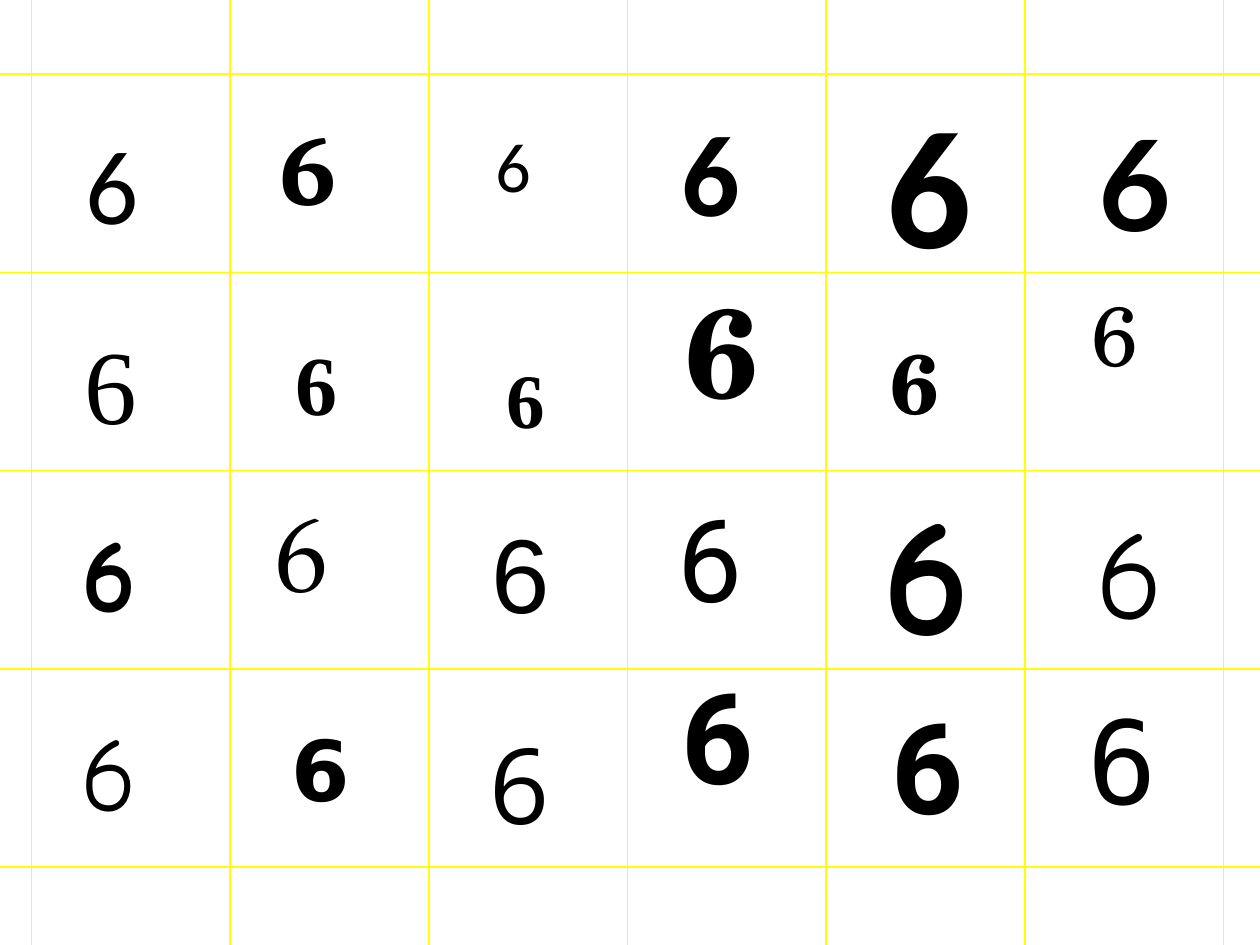
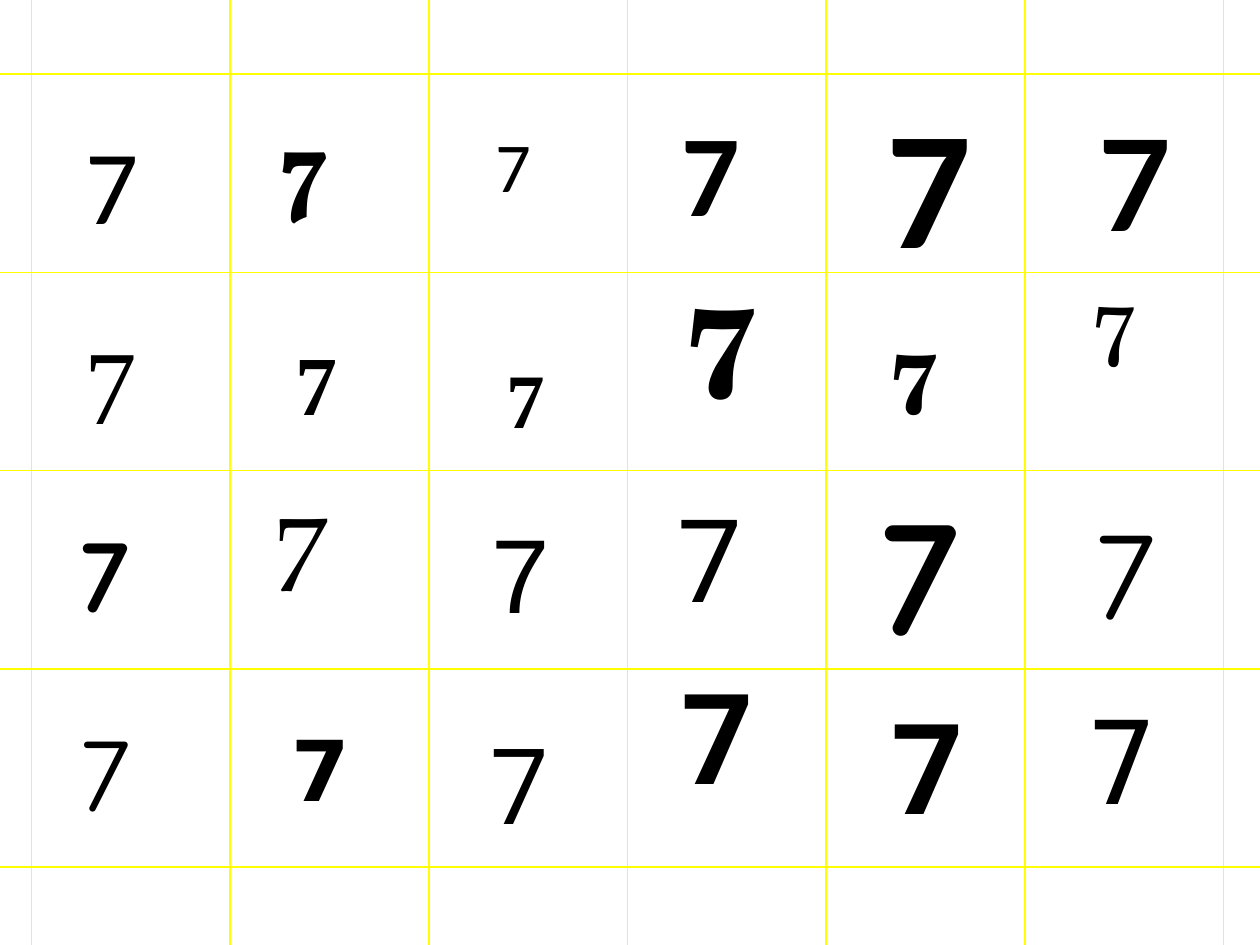
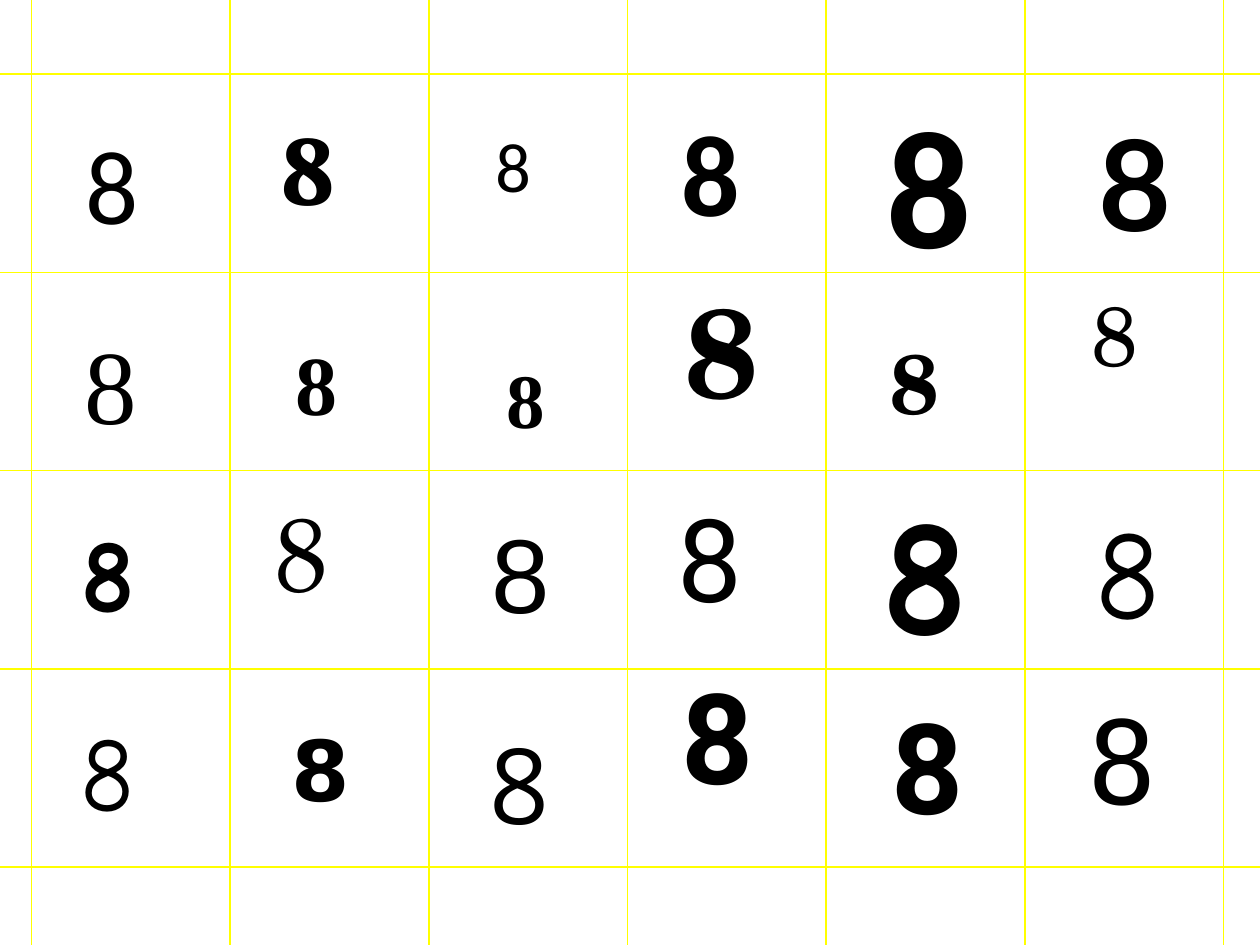
from dataclasses import dataclass

from lxml import etree
from pptx import Presentation
from pptx.dml.color import RGBColor
from pptx.enum.shapes import MSO_CONNECTOR
from pptx.enum.text import MSO_AUTO_SIZE
from pptx.oxml.ns import qn
from pptx.util import Inches, Pt

STRAIGHT = MSO_CONNECTOR.STRAIGHT
GROW = MSO_AUTO_SIZE.SHAPE_TO_FIT_TEXT
BLANK_LAYOUT = 6

# Content: one slide per digit, each showing the same type specimens
DIGITS = ["6", "7", "8"]

# One list per grid row: font, size, bold, offset right and down in its cell
SPECIMENS = [
    [("Calibri", 60, False, 0.33, 0.31),
     ("Vollkorn", 60, True, 0.29, 0.16),
     ("Calibri", 40, False, 0.43, 0.33),
     ("Calibri", 66, True, 0.33, 0.16),
     ("Calibri", 96, True, 0.38, 0),
     ("Lato", 72, True, 0.49, 0.2)],
    [("Times New Roman", 60, False, 0.32, 0.32),
     ("Times New Roman", 48, True, 0.42, 0.42),
     ("Times New Roman", 44, True, 0.52, 0.58),
     ("TeX Gyre Schola", 72, True, 0.36, -0.05),
     ("TeX Gyre Schola", 48, True, 0.41, 0.41),
     ("TeX Gyre Schola", 48, False, 0.43, 0.03)],
    [("Comic Neue", 60, True, 0.3, 0.24),
     ("TeX Gyre Pagella", 60, False, 0.26, 0.08),
     ("Arial", 60, False, 0.4, 0.25),
     ("Roboto", 66, False, 0.3, 0.08),
     ("Comic Neue", 96, True, 0.35, -0.07),
     ("Comic Neue", 72, False, 0.46, 0.13)],
    [("Comic Neue", 60, False, 0.29, 0.25),
     ("DejaVu Sans", 48, True, 0.39, 0.34),
     ("Open Sans", 60, False, 0.38, 0.35),
     ("Roboto", 72, True, 0.33, -0.13),
     ("Roboto", 72, True, 0.42, 0.11),
     ("DejaVu Sans Mono", 66, False, 0.4, 0.11)],
]


@dataclass(frozen=True)
class Theme:
    ink: RGBColor = RGBColor(0, 0, 0)
    guide: RGBColor = RGBColor(0xFF, 0xFF, 0)
    guide_width: float = 1
    line_height: float = 1.21
    box_padding: float = 0.1


THEME = Theme()

# Grid: six columns and four rows between the outer guides
SLIDE_W, SLIDE_H = 10, 7.5
LEFT, RIGHT = 0.25, 9.71
TOP, BOTTOM = 0.59, 6.88
ROWS, COLUMNS = len(SPECIMENS), len(SPECIMENS[0])
COLUMN_EDGES = [LEFT + (RIGHT - LEFT) * i / COLUMNS for i in range(COLUMNS + 1)]
ROW_EDGES = [TOP + (BOTTOM - TOP) * i / ROWS for i in range(ROWS + 1)]
BOX_W = 0.79


def add_guide(slide, x1, y1, x2, y2):
    guide = slide.shapes.add_connector(
        STRAIGHT, Inches(x1), Inches(y1), Inches(x2), Inches(y2))
    guide.line.color.rgb = THEME.guide
    guide.line.width = Pt(THEME.guide_width)
    etree.SubElement(guide._element.spPr, qn("a:effectLst"))


def add_guides(slide):
    for x in COLUMN_EDGES:
        add_guide(slide, x, 0, x, SLIDE_H)
    for y in ROW_EDGES:
        add_guide(slide, 0, y, SLIDE_W, y)


def add_specimen(slide, digit, x, y, font_name, size, bold):
    height = size / 72 * THEME.line_height + THEME.box_padding
    specimen = slide.shapes.add_textbox(
        Inches(x), Inches(y), Inches(BOX_W), Inches(height))
    frame = specimen.text_frame
    frame.word_wrap = True
    frame.auto_size = GROW
    paragraph = frame.paragraphs[0]
    paragraph.text = digit
    font = paragraph.font
    font.name, font.size, font.bold = font_name, Pt(size), bold
    font.color.rgb = THEME.ink


# Build one sheet per digit
deck = Presentation()
deck.slide_width, deck.slide_height = Inches(SLIDE_W), Inches(SLIDE_H)
for digit in DIGITS:
    sheet = deck.slides.add_slide(deck.slide_layouts[BLANK_LAYOUT])
    add_guides(sheet)
    for row_top, row in zip(ROW_EDGES, SPECIMENS):
        for column_left, (font_name, size, bold, right, down) in zip(COLUMN_EDGES, row):
            add_specimen(sheet, digit, column_left + right, row_top + down,
                         font_name, size, bold)

deck.save("out.pptx")
